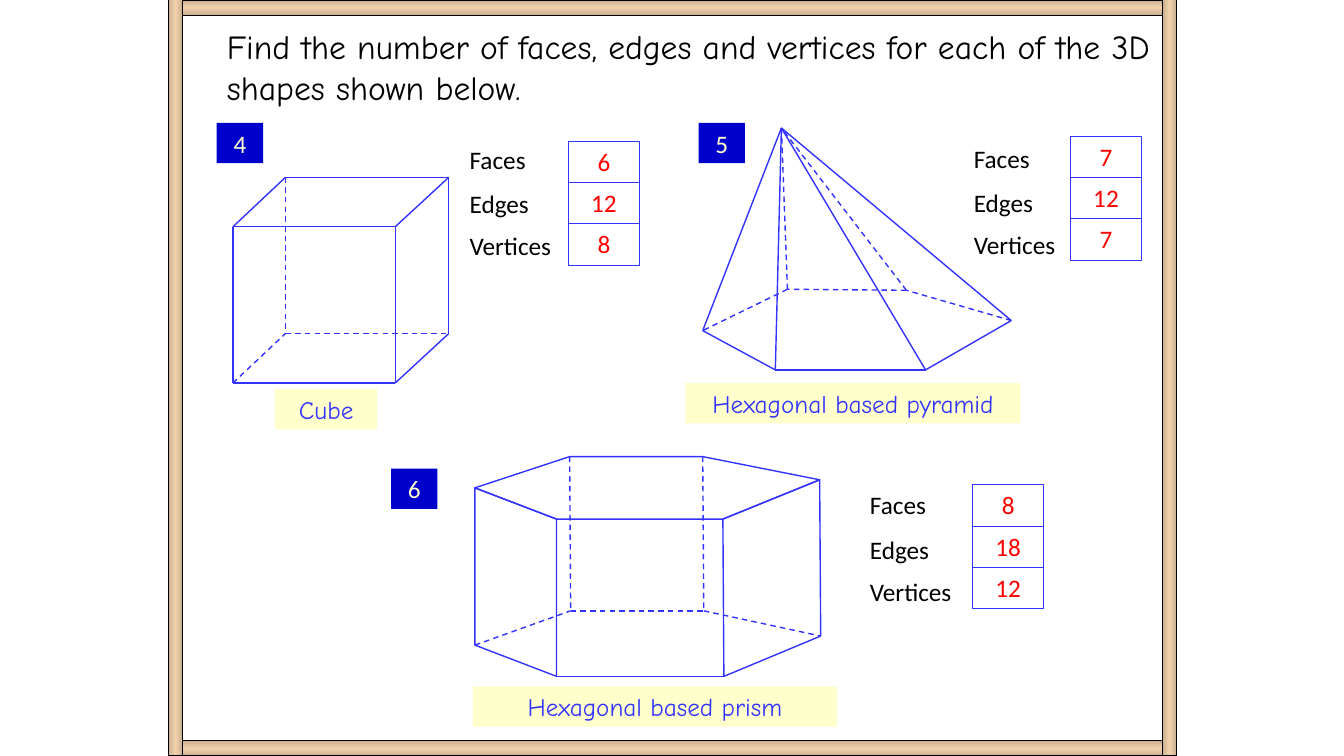
from copy import deepcopy
from dataclasses import dataclass
from itertools import pairwise

from pptx import Presentation
from pptx.dml.color import RGBColor
from pptx.enum import dml, shapes, text
from pptx.oxml import ns
from pptx.oxml.xmlchemy import OxmlElement
from pptx.util import Inches, Pt

COLOURS = {
    "text": "000000", "badge": "0000CC", "cream": "FFFFCC", "edge": "3333FF",
    "answer": "FF0000", "paper": "FFFFFF", "wood_dark": "CAB090", "wood_light": "F2D2AC",
}
BODY_FONT, HAND_FONT = "Calibri", "Comic Neue"
PROPERTY_ROWS = (("Faces", 0), ("Edges", 0.44), ("Vertices", 0.86))
ROW_HEIGHT = 0.41
SLIDE_WIDTH, SLIDE_HEIGHT = 13.33, 7.5

Point = tuple[float, float]
Box = tuple[float, float, float, float]


@dataclass(frozen=True)
class Solid:
    """A numbered question; paths spell out the corners they run through."""
    number: str
    name: str
    badge_at: Point
    name_box: Box
    labels_at: Point
    answers_at: Point
    answers: tuple[int, int, int]
    corners: dict[str, Point]
    visible: tuple[str, ...]
    hidden: tuple[str, ...]


SOLIDS = (
    Solid("4", "Cube", (2.15, 1.22), (2.73, 3.86, 1.01, 0.4), (4.56, 1.38), (5.64, 1.4),
          (6, 12, 8),
          {"A": (2.31, 2.25), "B": (3.92, 2.25), "C": (4.45, 1.76), "D": (2.83, 1.76),
           "E": (2.31, 3.8), "F": (3.92, 3.8), "G": (4.45, 3.31), "H": (2.83, 3.31)},
          ("AB", "BC", "CD", "DA", "AE", "BF", "CG", "EF", "FG"),
          ("EH", "HG", "DH")),
    Solid("5", "Hexagonal based pyramid", (6.93, 1.22), (6.8, 3.8, 3.32, 0.4), (9.56, 1.37),
          (10.62, 1.35), (7, 12, 7),
          {"P": (7.75, 1.27), "A": (6.97, 3.28), "B": (7.69, 3.67), "C": (9.18, 3.67),
           "D": (10.03, 3.18), "E": (8.99, 2.88), "F": (7.81, 2.87)},
          ("AB", "BC", "CD", "AP", "BP", "CP", "DP"),
          ("DE", "EF", "FA", "EP", "FP")),
    Solid("6", "Hexagonal based prism", (3.88, 4.65), (4.69, 6.81, 3.61, 0.4), (8.53, 4.81),
          (9.65, 4.81), (8, 18, 12),
          {"A": (4.71, 4.84), "B": (5.52, 5.15), "C": (7.17, 5.15), "D": (8.13, 4.76),
           "E": (6.97, 4.53), "F": (5.65, 4.53), "G": (4.71, 6.4), "H": (5.52, 6.71),
           "I": (7.18, 6.71), "J": (8.14, 6.31), "K": (6.98, 6.06), "L": (5.66, 6.06)},
          ("ABCDEFA", "AGHBA", "ICDJ", "HI", "IJ"),
          ("FL", "EK", "GL", "LK", "KJ")),
)


def rgb(colour: str) -> RGBColor:
    return RGBColor.from_string(COLOURS[colour])


def write(frame, words: str, colour: str, font: str = BODY_FONT, size: int = 18,
          align=text.PP_ALIGN.CENTER) -> None:
    frame.text = words
    frame.word_wrap = True
    frame.vertical_anchor = text.MSO_ANCHOR.TOP
    paragraph = frame.paragraphs[0]
    paragraph.alignment = align
    run_font = paragraph.runs[0].font
    run_font.name, run_font.size = font, Pt(size)
    run_font.color.rgb = rgb(colour)


def add_panel(slide, box: Box, fill: str | None = None, line: str | None = None):
    panel = slide.shapes.add_shape(shapes.MSO_SHAPE.RECTANGLE, *map(Inches, box))
    panel.shadow.inherit = False
    if fill:
        panel.fill.solid()
        panel.fill.fore_color.rgb = rgb(fill)
    if line:
        panel.line.color.rgb = rgb(line)
        panel.line.width = Pt(0.75)
    else:
        panel.line.fill.background()
    return panel


def add_path(group, points: list[Point], dashed: bool) -> None:
    """Draw two points as a connector and more as an unfilled outline."""
    emu = [(Inches(x), Inches(y)) for x, y in points]
    if len(emu) == 2:
        stroke = group.shapes.add_connector(shapes.MSO_CONNECTOR.STRAIGHT, *emu[0], *emu[1])
        stroke.element.spPr.append(OxmlElement("a:effectLst"))
    else:
        closed = emu[0] == emu[-1]
        builder = group.shapes.build_freeform(*emu[0])
        builder.add_line_segments(emu[1:], close=closed)
        stroke = builder.convert_to_shape()
        stroke.fill.background()
        stroke.shadow.inherit = False
    stroke.line.color.rgb = rgb("edge")
    stroke.line.width = Pt(1)
    if dashed:
        stroke.line.dash_style = dml.MSO_LINE.DASH


def add_solid(slide, solid: Solid) -> None:
    badge = add_panel(slide, (*solid.badge_at, 0.46, 0.4), "badge")
    write(badge.text_frame, solid.number, "cream")
    caption = add_panel(slide, solid.name_box, "cream")
    write(caption.text_frame, solid.name, "edge", HAND_FONT)

    label_x, label_y = solid.labels_at
    answer_x, answer_y = solid.answers_at
    for row, ((name, drop), count) in enumerate(zip(PROPERTY_ROWS, solid.answers)):
        label = slide.shapes.add_textbox(
            *map(Inches, (label_x, label_y + drop, 1.14, 0.4)))
        write(label.text_frame, name, "text", align=text.PP_ALIGN.LEFT)
        answer = add_panel(
            slide, (answer_x, answer_y + row * ROW_HEIGHT, 0.7, ROW_HEIGHT), "paper", "edge")
        write(answer.text_frame, str(count), "answer")

    wireframe = slide.shapes.add_group_shape()
    for paths, dashed in ((solid.hidden, True), (solid.visible, False)):
        for path in paths:
            add_path(wireframe, [solid.corners[corner] for corner in path], dashed)


def add_rail(slide, box: Box, angle: int) -> None:
    """Add one wooden side of the frame, lightest along its middle."""
    rail = add_panel(slide, box, line="text")
    rail.fill.gradient()
    rail.fill.gradient_angle = angle
    for stop, colour, position in zip(
            rail.fill.gradient_stops, ("wood_dark", "wood_light"), (0, 0.5)):
        stop.color.rgb = rgb(colour)
        stop.position = position
    stops = rail.element.spPr.find(".//" + ns.qn("a:gsLst"))
    last_stop = deepcopy(stops[0])
    last_stop.set("pos", "100000")
    stops.append(last_stop)


def main() -> None:
    deck = Presentation()
    deck.slide_width, deck.slide_height = Inches(SLIDE_WIDTH), Inches(SLIDE_HEIGHT)
    slide = deck.slides.add_slide(deck.slide_layouts.get_by_name("Title Only"))

    title = slide.shapes.title
    title.left, title.top, title.width, title.height = map(Inches, (2.15, 0.21, 9.52, 0.91))
    write(title.text_frame,
          "Find the number of faces, edges and vertices for each of the 3D shapes shown below.",
          "text", HAND_FONT, 24, text.PP_ALIGN.LEFT)
    title.text_frame.auto_size = text.MSO_AUTO_SIZE.NONE

    for solid in SOLIDS:
        add_solid(slide, solid)

    for top in (0, 7.35):
        add_rail(slide, (1.67, top, 10, 0.15), 90)
    for left in (1.67, 11.53):
        add_rail(slide, (left, 0, 0.14, SLIDE_HEIGHT), 0)

    deck.save("out.pptx")


if __name__ == "__main__":
    main()
